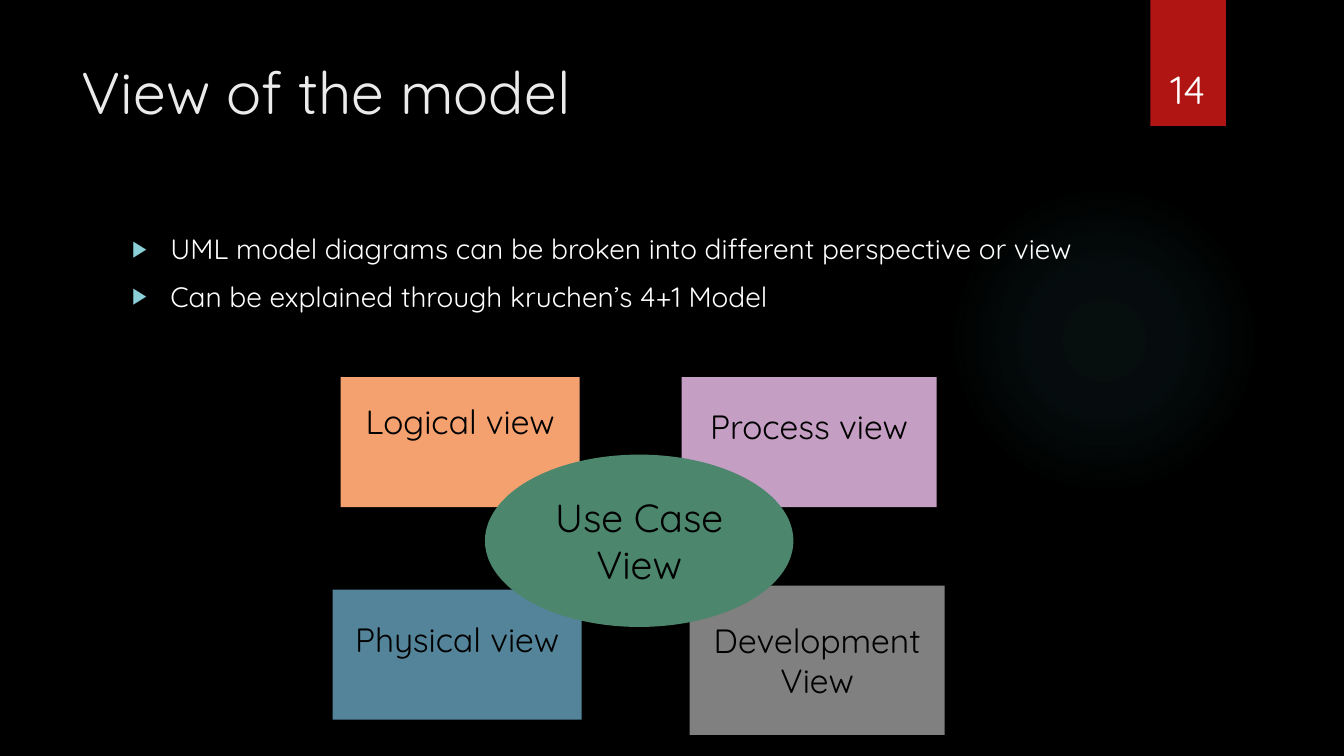
"""Build a slide on the 4+1 views of a UML model."""
from lxml.etree import SubElement
from pptx import Presentation
from pptx.dml.color import RGBColor
from pptx.enum.shapes import MSO_SHAPE
from pptx.enum.text import MSO_ANCHOR, MSO_AUTO_SIZE, PP_ALIGN
from pptx.oxml import parse_xml
from pptx.oxml.ns import nsdecls, qn
from pptx.util import Inches, Pt

FONT = "Quicksand"
COLORS = {
    "background": "000000", "title": "EBEBEB", "light": "FFFFFF", "dark": "000000",
    "bullet": "8AD0D6", "glow": "50B9C1", "ribbon": "B01513",
    "logical": "F4A16F", "process": "C59EC3", "physical": "54849A",
    "development": "808080", "use case": "4B866D",
}
TITLE = "View of the model"
POINTS = [
    "UML model diagrams can be broken into different perspective or view",
    "Can be explained through kruchen’s 4+1 Model",
]
PAGE_NUMBER = "14"
GLOW_STOPS = [(0, 7), (36, 6), (69, 0)]
VIEWS = [
    ("logical", ["Logical view"], MSO_SHAPE.RECTANGLE, (3.38, 3.74, 2.37, 1.29), 24, 0.47),
    ("process", ["Process view"], MSO_SHAPE.RECTANGLE, (6.76, 3.74, 2.53, 1.29), 24, 0.36),
    ("physical", ["Physical view"], MSO_SHAPE.RECTANGLE, (3.3, 5.85, 2.47, 1.29), 24, 0.36),
    ("development", ["Development View"], MSO_SHAPE.RECTANGLE, (6.84, 5.81, 2.53, 1.48), 24, 0.05),
    ("use case", ["Use Case", "View"], MSO_SHAPE.OVAL, (4.81, 4.51, 3.06, 1.71), 28, 0.05),
]


def color(name):
    return RGBColor.from_string(COLORS[name])


def place(shape, area):
    shape.left, shape.top, shape.width, shape.height = map(Inches, area)


def write(shape, lines, size, color_name, align, anchor):
    frame = shape.text_frame
    frame.text = "\n".join(lines)
    frame.word_wrap = True
    frame.auto_size = MSO_AUTO_SIZE.NONE
    frame.vertical_anchor = anchor
    for paragraph in frame.paragraphs:
        paragraph.alignment = align
        paragraph.font.name = FONT
        paragraph.font.size = Pt(size)
        paragraph.font.color.rgb = color(color_name)
    return frame


def add_block(page, kind, area, color_name):
    shape = page.shapes.add_shape(kind, *map(Inches, area))
    shape.shadow.inherit = False
    shape.line.fill.background()
    shape.fill.solid()
    shape.fill.fore_color.rgb = color(color_name)
    return shape


def make_glow(shape):
    stops = "".join(
        f'<a:gs pos="{position * 1000}"><a:srgbClr val="{COLORS["glow"]}">'
        f'<a:alpha val="{opacity * 1000}"/></a:srgbClr></a:gs>'
        for position, opacity in GLOW_STOPS)
    gradient = parse_xml(
        f'<a:gradFill {nsdecls("a")}><a:gsLst>{stops}</a:gsLst><a:path path="circle">'
        '<a:fillToRect l="50000" t="50000" r="50000" b="50000"/></a:path></a:gradFill>')
    properties = shape.element.spPr
    properties.replace(properties.find(qn("a:solidFill")), gradient)


def add_bullet(paragraph):
    properties = paragraph._p.get_or_add_pPr()
    properties.set("marL", str(Inches(0.38)))
    properties.set("indent", str(-Inches(0.38)))
    font = properties.find(qn("a:defRPr"))
    tint = SubElement(properties, qn("a:buClr"))
    SubElement(tint, qn("a:srgbClr"), val=COLORS["bullet"])
    SubElement(properties, qn("a:buSzPct"), val="80000")
    SubElement(properties, qn("a:buChar"), char="▶")
    properties.append(font)


deck = Presentation()
deck.slide_width, deck.slide_height = Inches(13.33), Inches(7.5)
page = deck.slides.add_slide(deck.slide_layouts[1])
page.background.fill.solid()
page.background.fill.fore_color.rgb = color("background")

title, body = page.placeholders
place(title, (0.71, 0.5, 10.29, 1.53))
write(title, [TITLE], 42, "title", PP_ALIGN.LEFT, MSO_ANCHOR.TOP)
place(body, (1.21, 2.25, 9.78, 4.59))
points = write(body, POINTS, 20, "light", PP_ALIGN.LEFT, MSO_ANCHOR.TOP)
for paragraph in points.paragraphs:
    add_bullet(paragraph)
    paragraph.space_before = Pt(10)

glow = add_block(page, MSO_SHAPE.OVAL, (9.41, 1.83, 3.08, 3.08), "glow")
make_glow(glow)
ribbon = add_block(page, MSO_SHAPE.RECTANGLE, (11.41, 0, 0.75, 1.25), "ribbon")
for index, backdrop in enumerate((glow, ribbon)):
    title.element.getparent().insert(2 + index, backdrop.element)

for name, lines, kind, area, size, bottom in VIEWS:
    view = add_block(page, kind, area, name)
    frame = write(view, lines, size, "dark", PP_ALIGN.CENTER, MSO_ANCHOR.MIDDLE)
    frame.margin_bottom = Inches(bottom)

number = page.shapes.add_textbox(*map(Inches, (11.32, 0.32, 0.92, 0.84)))
write(number, [PAGE_NUMBER], 28, "light", PP_ALIGN.CENTER, MSO_ANCHOR.BOTTOM)
deck.save("out.pptx")
